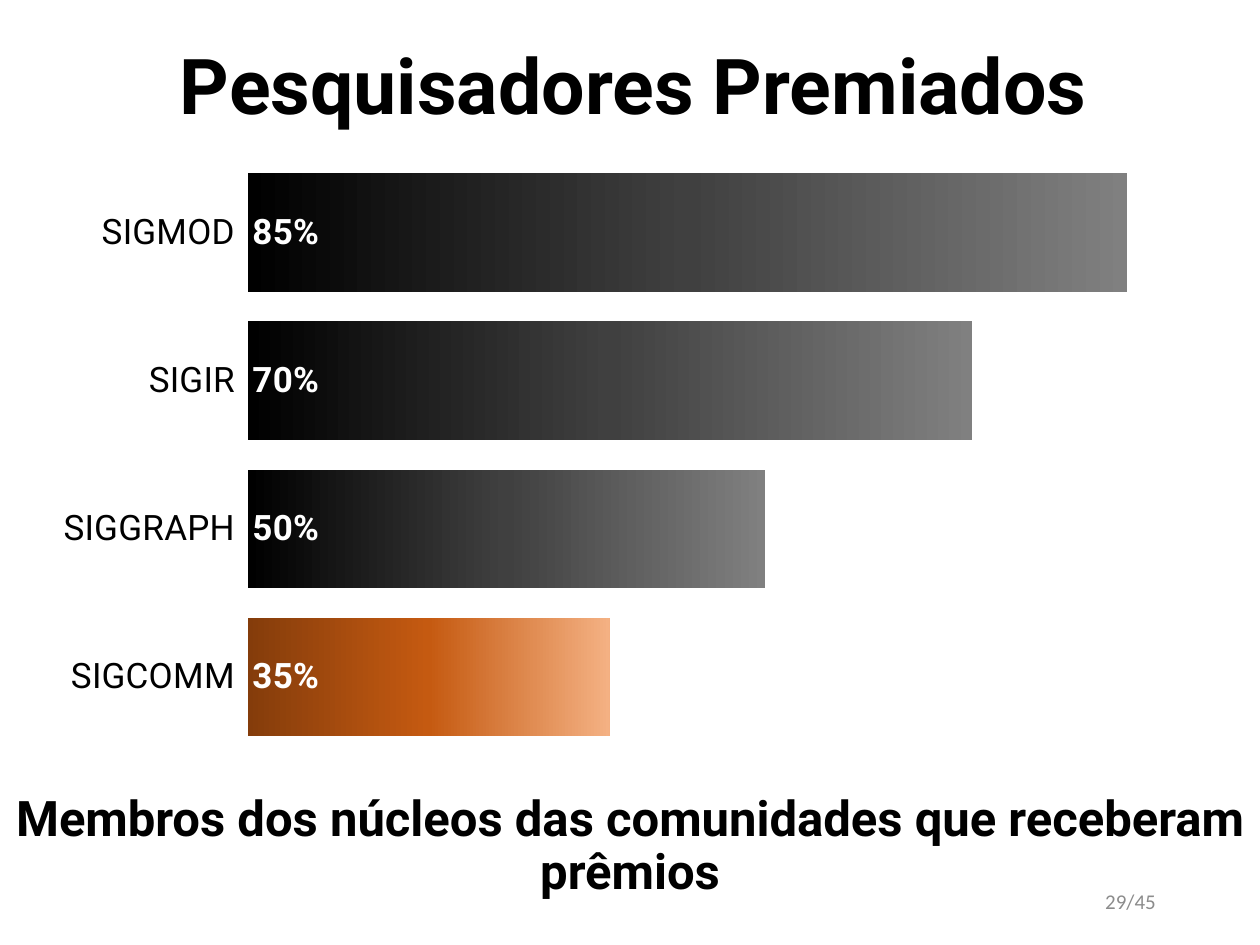
from copy import deepcopy

from lxml import etree
from pptx import Presentation
from pptx.chart.data import CategoryChartData
from pptx.dml.color import RGBColor
from pptx.enum.chart import XL_CHART_TYPE, XL_LABEL_POSITION, XL_TICK_LABEL_POSITION, XL_TICK_MARK
from pptx.enum.text import MSO_ANCHOR, MSO_AUTO_SIZE, PP_ALIGN
from pptx.oxml.ns import qn
from pptx.util import Inches, Pt

BAR = XL_CHART_TYPE.BAR_CLUSTERED
INSIDE_BASE = XL_LABEL_POSITION.INSIDE_BASE
LABELS_LOW = XL_TICK_LABEL_POSITION.LOW
NO_TICK = XL_TICK_MARK.NONE
TOP, MIDDLE = MSO_ANCHOR.TOP, MSO_ANCHOR.MIDDLE
CENTER, RIGHT = PP_ALIGN.CENTER, PP_ALIGN.RIGHT

COLORS = {"text": "000000", "label": "FFFFFF", "page": "8C8C8C"}
GRADIENTS = {
    "gray": ("000000", "404040", "808080"),
    "orange": ("843C0B", "C55A11", "F4B183"),
}
AWARDED = {"SIGMOD": 0.85, "SIGIR": 0.7, "SIGGRAPH": 0.5, "SIGCOMM": 0.35}


def style_font(font, name, size, color, bold=False):
    font.name = name
    font.size = Pt(size)
    font.bold = bold
    font.color.rgb = RGBColor.from_string(COLORS[color])


def write_text(shape, box, text, align, anchor, name, size, color, bold=False):
    shape.left, shape.top, shape.width, shape.height = (Inches(v) for v in box)
    frame = shape.text_frame
    frame.text = text
    frame.word_wrap = True
    frame.auto_size = MSO_AUTO_SIZE.NONE
    frame.vertical_anchor = anchor
    paragraph = frame.paragraphs[0]
    paragraph.alignment = align
    style_font(paragraph.runs[0].font, name, size, color, bold)
    return paragraph


prs = Presentation()
prs.slide_width, prs.slide_height = Inches(10), Inches(7.5)
slide = prs.slides.add_slide(prs.slide_layouts[1])

# Title and takeaway
title = write_text(slide.shapes.title, (0.72, 0.26, 8.62, 0.9), "Pesquisadores Premiados",
                   CENTER, MIDDLE, "Roboto", 44, "text", True)
title.line_spacing = 0.9

takeaway = write_text(slide.placeholders[1], (0, 6.25, 10, 1),
                      "Membros dos núcleos das comunidades que receberam prêmios",
                      CENTER, TOP, "Roboto", 28, "text", True)
takeaway.line_spacing = 0.9
takeaway.space_before = Pt(10)
takeaway_props = takeaway._p.get_or_add_pPr()
takeaway_props.set("marL", "0")
takeaway_props.set("indent", "0")
etree.SubElement(takeaway_props, qn("a:buNone"))

# Bar chart of awarded researchers
data = CategoryChartData(number_format="0%")
data.categories = list(AWARDED)
data.add_series("Series 1", list(AWARDED.values()))
chart = slide.shapes.add_chart(BAR, Inches(0.32), Inches(1.16), Inches(9.22), Inches(4.9), data).chart
chart.has_legend = False
chart.has_title = False
style_font(chart.font, "Calibri", 18, "text")

communities = chart.category_axis
communities.reverse_order = True
communities.major_tick_mark = NO_TICK
communities.tick_label_position = LABELS_LOW
communities.format.line.fill.background()
style_font(communities.tick_labels.font, "Roboto", 20, "text")

share = chart.value_axis
share.visible = False
share.has_major_gridlines = False
share.minimum_scale, share.maximum_scale = 0, 0.9

plot = chart.plots[0]
plot.gap_width, plot.overlap = 25, 40
plot.vary_by_categories = False
awards = plot.series[0]
labels = awards.data_labels
labels.show_value = True
labels.number_format, labels.number_format_is_linked = "0%", False
labels.position = INSIDE_BASE
style_font(labels.font, "Roboto", 20, "label", True)

# Three-stop gradients, with the last community highlighted
for index, community in enumerate(AWARDED):
    fill = awards.points[index].format.fill
    fill.gradient()
    fill.gradient_angle = 0
    stop_list = fill._fill._gradFill.find(qn("a:gsLst"))
    stop_list.append(deepcopy(stop_list[-1]))
    shades = GRADIENTS["orange" if community == "SIGCOMM" else "gray"]
    for stop, shade, position in zip(fill.gradient_stops, shades, (0, 0.5, 1)):
        stop.color.rgb = RGBColor.from_string(shade)
        stop.position = position

# Page number
page_box = (7.06, 6.95, 2.25, 0.4)
page = slide.shapes.add_textbox(*(Inches(v) for v in page_box))
write_text(page, page_box, "29/45 ", RIGHT, MIDDLE, "Calibri", 12, "page")

prs.save("out.pptx")
